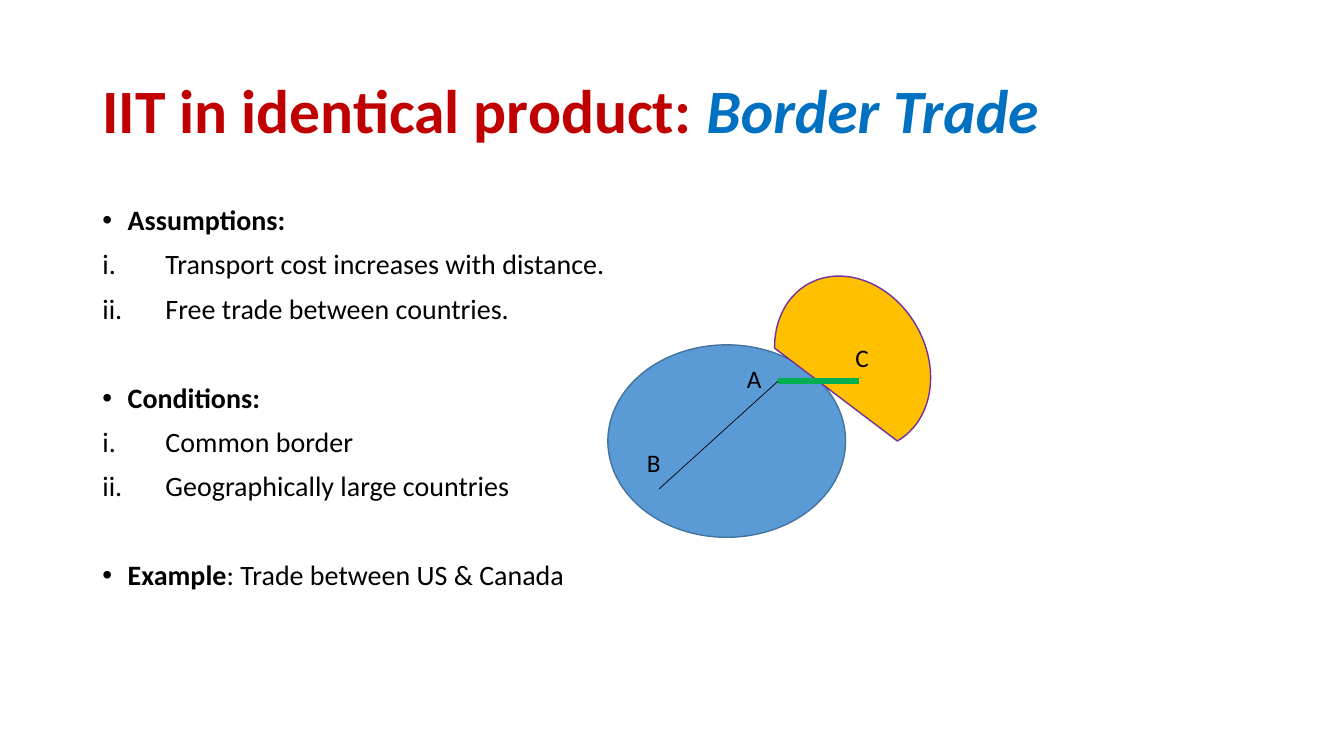
from lxml.etree import SubElement
from pptx import Presentation
from pptx.dml.color import RGBColor
from pptx.enum.shapes import MSO_CONNECTOR, MSO_SHAPE
from pptx.enum.text import MSO_ANCHOR, MSO_AUTO_SIZE, PP_ALIGN
from pptx.oxml.ns import qn
from pptx.util import Cm, Pt

COLORS = {"red": "C00000", "blue": "0070C0", "black": "000000",
          "large": "5B9BD5", "large_edge": "43739E",
          "small": "FFC000", "small_edge": "7030A0", "border": "00B050"}
FONT = "Calibri"

# Content: runs are (text, color, bold, italic)
TITLE = [("IIT in identical product: ", "red", True, False),
         ("Border Trade", "blue", True, True)]
SECTIONS = [
    ("Assumptions", ":", True, ["Transport cost increases with distance.",
                                "Free trade between countries."]),
    ("Conditions", ":", True, ["Common border", "Geographically large countries"]),
    ("Example", ": Trade between US & Canada", False, []),
]
# Countries: shape, box in cm, rotation, adjustments, fill, edge
COUNTRIES = [
    (MSO_SHAPE.OVAL, (15.32, 8.69, 5.99, 4.85), 0, [], "large", "large_edge"),
    (MSO_SHAPE.CHORD, (19.63, 6.86, 3.71, 4.55), 150.3, [24.12, 162],
     "small", "small_edge"),
]
PLACES = {"A": (19.61, 9.6), "B": (16.61, 12.32), "C": (21.64, 9.6)}
LABELS = {"A": (18.57, 9.02), "B": (16.05, 11.15), "C": (21.31, 8.51)}
ROUTES = [("A", "B", "black", 0.5), ("A", "C", "border", 4.5)]

LABEL_SIZE = 1.02
PARAGRAPH_GAP, SECTION_GAP = 10, 42


def rgb(name):
    return RGBColor.from_string(COLORS[name])


def add_runs(paragraph, runs, size):
    for text, color, bold, italic in runs:
        run = paragraph.add_run()
        run.text = text
        run.font.name, run.font.size = FONT, Pt(size)
        run.font.bold, run.font.italic = bold, italic
        run.font.color.rgb = rgb(color)


def add_text_frame(slide, left, top, width, height):
    frame = slide.shapes.add_textbox(Cm(left), Cm(top), Cm(width), Cm(height)).text_frame
    frame.word_wrap = True
    return frame


def add_item(frame, runs, gap, indent, bullet, **marker):
    first = not frame.paragraphs[0].runs
    item = frame.paragraphs[0] if first else frame.add_paragraph()
    item.alignment, item.line_spacing = PP_ALIGN.JUSTIFY, 0.9
    item.space_before = Pt(0 if first else gap)
    properties = item._p.get_or_add_pPr()
    properties.set("marL", str(Cm(indent)))
    properties.set("indent", str(-Cm(indent)))
    if bullet == "buChar":
        SubElement(properties, qn("a:buFont"), typeface="Arial")
    SubElement(properties, qn(f"a:{bullet}"), **marker)
    add_runs(item, runs, 20)


def main():
    prs = Presentation()
    prs.slide_width, prs.slide_height = Cm(33.87), Cm(19.05)
    slide = prs.slides.add_slide(prs.slide_layouts[6])

    # Title
    title = add_text_frame(slide, 2.33, 1.02, 29.21, 3.68)
    title.vertical_anchor = MSO_ANCHOR.MIDDLE
    title.paragraphs[0].line_spacing = 0.9
    add_runs(title.paragraphs[0], TITLE, 44)

    # Sections with numbered points
    body = add_text_frame(slide, 2.33, 5.08, 29.21, 12.09)
    for heading, rest, rest_bold, points in SECTIONS:
        runs = [(heading, "black", True, False), (rest, "black", rest_bold, False)]
        add_item(body, runs, SECTION_GAP, 0.64, "buChar", char="•")
        for point in points:
            add_item(body, [(point, "black", False, False)], PARAGRAPH_GAP, 1.59,
                     "buAutoNum", type="romanLcPeriod")

    # Countries
    for kind, box, rotation, adjustments, fill, edge in COUNTRIES:
        country = slide.shapes.add_shape(kind, *map(Cm, box))
        for index, value in enumerate(adjustments):
            country.adjustments[index] = value
        country.rotation = rotation
        country.shadow.inherit = False
        country.fill.solid()
        country.fill.fore_color.rgb = rgb(fill)
        country.line.color.rgb = rgb(edge)
        country.line.width = Pt(1)

    # Trade routes
    for start, end, color, width in ROUTES:
        route = slide.shapes.add_connector(
            MSO_CONNECTOR.STRAIGHT, *map(Cm, PLACES[start] + PLACES[end]))
        route.line.color.rgb = rgb(color)
        route.line.width = Pt(width)
        SubElement(route._element.spPr, qn("a:effectLst"))

    # Place labels
    for name, (left, top) in LABELS.items():
        label = add_text_frame(slide, left, top, LABEL_SIZE, LABEL_SIZE)
        label.auto_size = MSO_AUTO_SIZE.SHAPE_TO_FIT_TEXT
        add_runs(label.paragraphs[0], [(name, "black", False, False)], 18)

    prs.save("out.pptx")


if __name__ == "__main__":
    main()
